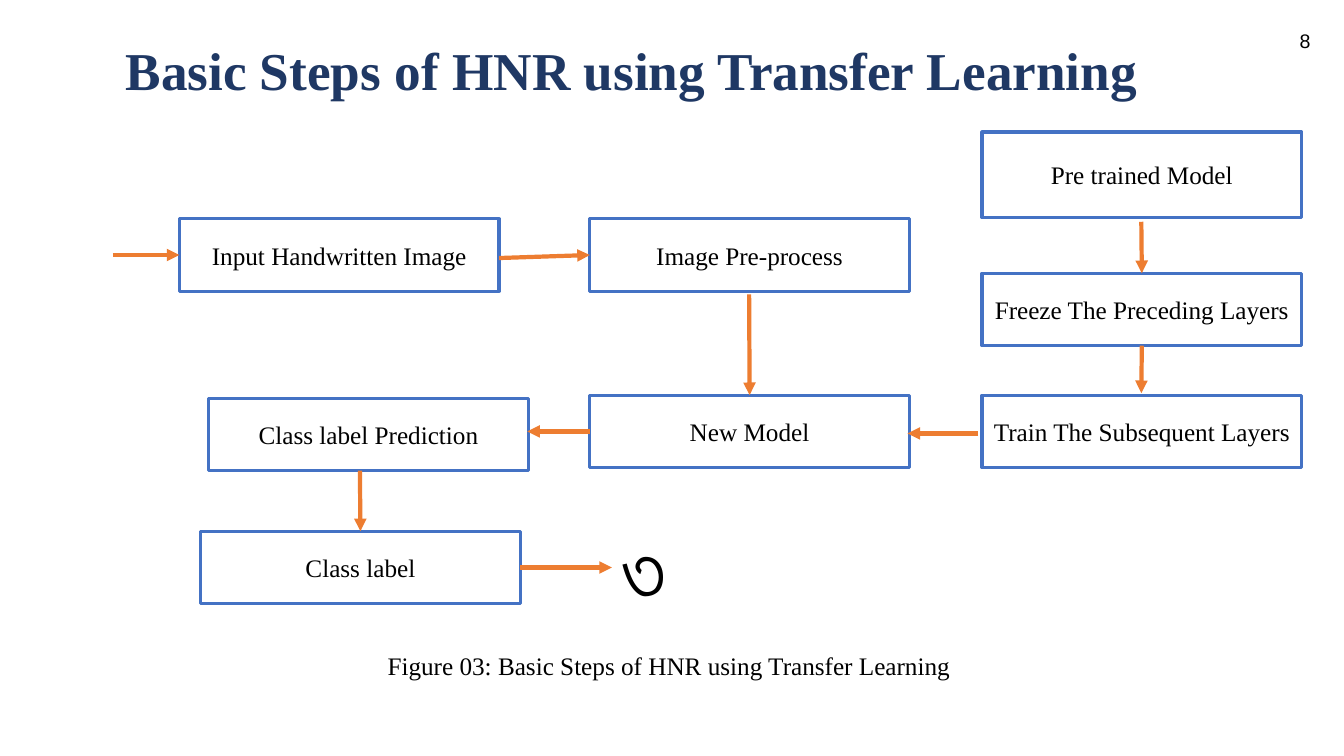
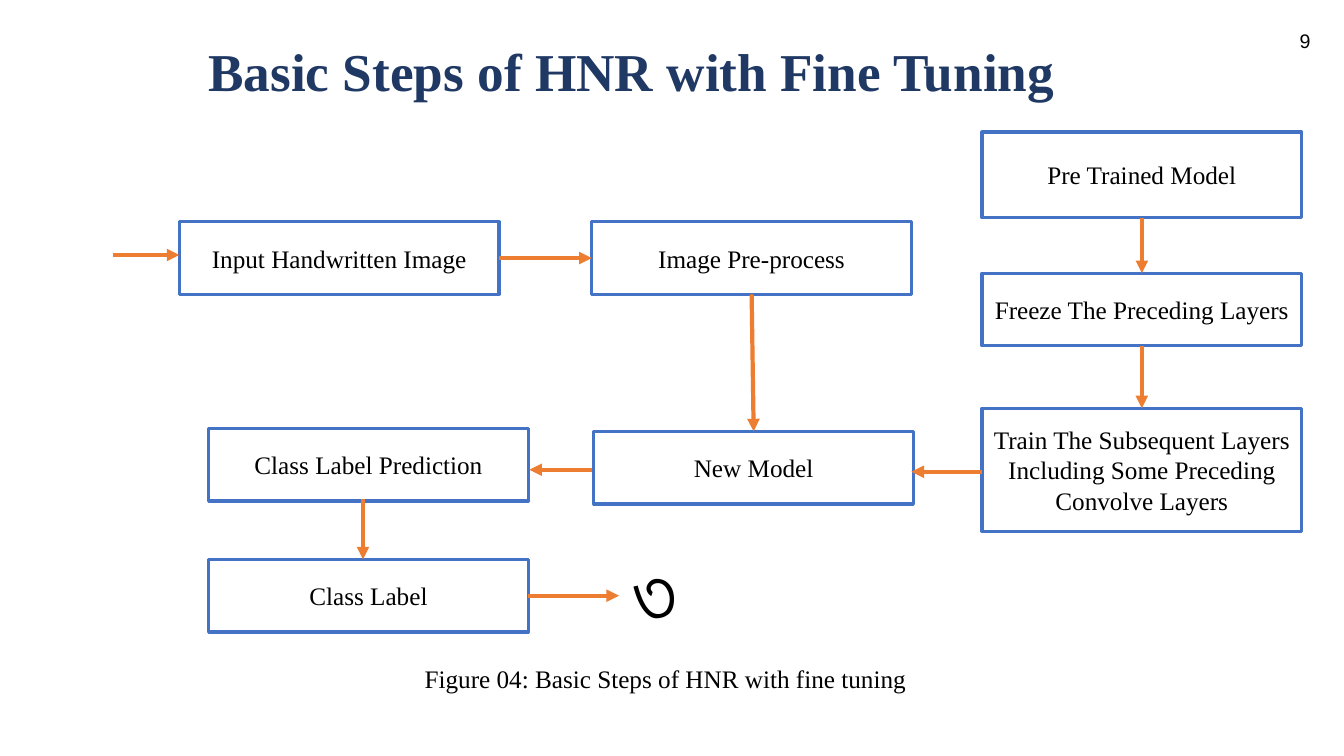
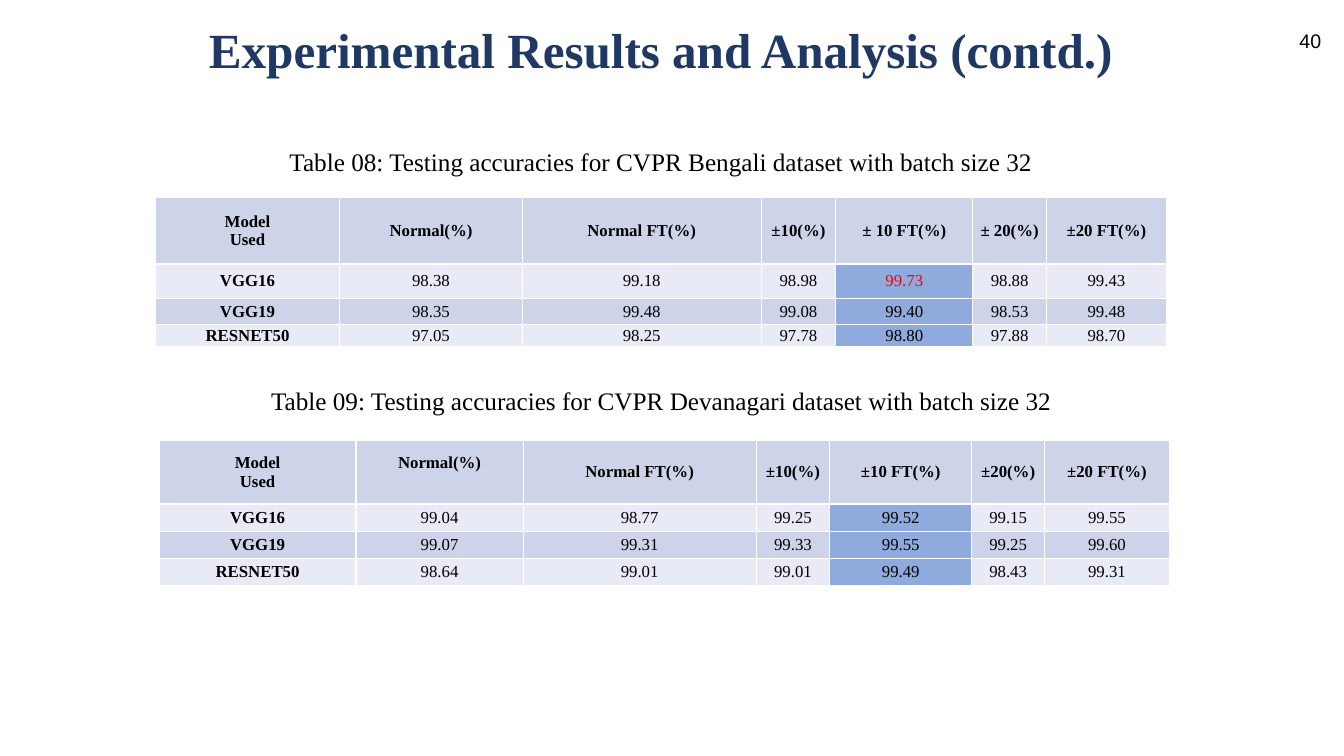
import pptx
import pptx.util
import pptx.dml.color
import pptx.enum.shapes
import pptx.enum.text
import pptx.oxml
import pptx.oxml.ns
from lxml import etree

Inches = pptx.util.Inches
Pt = pptx.util.Pt
ANCHOR = pptx.enum.text.MSO_ANCHOR
ALIGN = pptx.enum.text.PP_ALIGN

COLORS = {
    "title": "1F3864", "text": "000000", "best": "FF0000", "white": "FFFFFF",
    "outline": "4472C4", "arrow": "ED7D31",
    "dark_band": "CDD4EA", "light_band": "E8EBF5", "highlight": "8FAADC",
}
SERIF = "Times New Roman"
NODE_WIDTH, NODE_HEIGHT = 3.17, 0.72
TOP, LEFT, BOTTOM, RIGHT = range(4)
FLOW_ORIGIN = (1.12, 1.31)
HIGHLIGHT_COLUMN = 4


def color(key):
    return pptx.dml.color.RGBColor.from_string(COLORS[key])


def write(frame, text, size=18, font=SERIF, ink="text", bold=False,
          align=ALIGN.CENTER, spacing=None):
    """Set the text of a frame and format every run alike."""
    frame.text = text
    for paragraph in frame.paragraphs:
        paragraph.alignment = align
        if spacing:
            paragraph.line_spacing = spacing
        for run in paragraph.runs:
            run.font.size = Pt(size)
            run.font.name = font
            run.font.bold = bold
            run.font.color.rgb = color(ink)


def add_label(slide, box, text, **style):
    label = slide.shapes.add_textbox(*map(Inches, box))
    label.text_frame.word_wrap = True
    write(label.text_frame, text, **style)


def new_slide(prs, title, title_box, number, number_width=0.32, size=38, spacing=1.1):
    """Add a slide with the shared title style and page number."""
    slide = prs.slides.add_slide(prs.slide_layouts[5])
    heading = slide.shapes.title
    heading.left, heading.top, heading.width, heading.height = map(Inches, title_box)
    frame = heading.text_frame
    frame.auto_size = pptx.enum.text.MSO_AUTO_SIZE.NONE
    frame.word_wrap = True
    frame.vertical_anchor = ANCHOR.TOP
    frame.margin_left = frame.margin_right = frame.margin_bottom = Inches(0.1)
    frame.margin_top = Inches(0.16)
    write(frame, title, size=size, ink="title", bold=True, spacing=spacing)
    add_label(slide, (12.79, 0.24, number_width, 0.34), str(number),
              size=14, font="Arial", align=ALIGN.LEFT)
    return slide


def add_node(slide, text, left, top, height=NODE_HEIGHT):
    node = slide.shapes.add_shape(
        pptx.enum.shapes.MSO_SHAPE.RECTANGLE,
        *map(Inches, (left, top, NODE_WIDTH, height)))
    node.shadow.inherit = False
    node.fill.solid()
    node.fill.fore_color.rgb = color("white")
    node.line.color.rgb = color("outline")
    node.line.width = Pt(2.25)
    node.text_frame.word_wrap = True
    node.text_frame.vertical_anchor = ANCHOR.MIDDLE
    write(node.text_frame, text)
    return node


def add_flowchart(slide, origin, nodes, arrows, digit_at):
    """Draw nodes and arrows; an arrow end is (node name, side) or a point."""
    x0, y0 = origin
    shapes = {name: add_node(slide, text, x0 + x, y0 + y, *height)
              for name, (text, x, y, *height) in nodes.items()}
    for start, end in arrows:
        arrow = slide.shapes.add_connector(
            pptx.enum.shapes.MSO_CONNECTOR.STRAIGHT, 0, 0, 0, 0)
        if isinstance(start[0], str):
            arrow.begin_connect(shapes[start[0]], start[1])
        else:
            arrow.begin_x, arrow.begin_y = Inches(x0 + start[0]), Inches(y0 + start[1])
        if isinstance(end[0], str):
            arrow.end_connect(shapes[end[0]], end[1])
        else:
            arrow.end_x, arrow.end_y = Inches(x0 + end[0]), Inches(y0 + end[1])
        arrow.line.color.rgb = color("arrow")
        arrow.line.width = Pt(3)
        etree.SubElement(arrow.line._get_or_add_ln(),
                         pptx.oxml.ns.qn("a:tailEnd"), type="triangle")
        etree.SubElement(arrow._element.spPr, pptx.oxml.ns.qn("a:effectLst"))
    add_label(slide, (x0 + digit_at[0], y0 + digit_at[1], 0.84, 0.69), "৩",
              size=60, font="Calibri", align=ALIGN.LEFT)


def add_cell_borders(cell):
    properties = cell._tc.get_or_add_tcPr()
    for side in ("lnL", "lnR", "lnT", "lnB"):
        border = etree.SubElement(properties, pptx.oxml.ns.qn("a:" + side),
                                  w=str(Pt(1)))
        fill = etree.SubElement(border, pptx.oxml.ns.qn("a:solidFill"))
        etree.SubElement(fill, pptx.oxml.ns.qn("a:srgbClr"), val=COLORS["white"])


def add_accuracy_table(slide, origin, widths, heights, rows, best=None):
    """Draw a banded table with one highlighted column; return the table."""
    box = (*origin, sum(widths), sum(heights))
    table = slide.shapes.add_table(len(rows), len(widths), *map(Inches, box)).table
    table.first_row = table.horz_banding = False
    for column, width in zip(table.columns, widths):
        column.width = Inches(width)
    for r, (values, height) in enumerate(zip(rows, heights)):
        table.rows[r].height = Inches(height)
        for c, value in enumerate(values):
            cell = table.cell(r, c)
            cell.margin_left = cell.margin_right = Inches(0.07)
            cell.margin_top = cell.margin_bottom = 0
            cell.vertical_anchor = ANCHOR.MIDDLE
            add_cell_borders(cell)
            band = "light_band" if r % 2 else "dark_band"
            cell.fill.solid()
            cell.fill.fore_color.rgb = color(
                "highlight" if r and c == HIGHLIGHT_COLUMN else band)
            write(cell.text_frame, value, size=12, bold=r == 0 or c == 0,
                  ink="best" if (r, c) == best else "text")
    return table


def transfer_learning_slide(prs):
    slide = new_slide(prs, "Basic Steps of HNR using Transfer Learning",
                      (-0.29, 0.15, 13.11, 0.83), 8)
    nodes = {
        "preprocess": ("Image Pre-process", 4.73, 0.86),
        "pretrained": ("Pre trained Model", 8.62, 0, 0.85),
        "input": ("Input Handwritten Image", 0.66, 0.86),
        "prediction": ("Class label Prediction", 0.95, 2.64),
        "label": ("Class label", 0.87, 3.96),
        "freeze": ("Freeze The Preceding Layers", 8.62, 1.4),
        "train": ("Train The Subsequent Layers", 8.62, 2.61),
        "new": ("New Model", 4.73, 2.61),
    }
    arrows = [
        ((0, 1.22), ("input", LEFT)),
        ((3.83, 1.25), ("preprocess", LEFT)),
        ((6.31, 1.61), ("new", TOP)),
        ((10.2, 0.89), ("freeze", TOP)),
        (("freeze", BOTTOM), (10.2, 2.59)),
        ((8.58, 2.99), (7.88, 2.99)),
        (("new", LEFT), (4.11, 2.97)),
        ((2.45, 3.36), ("label", TOP)),
        (("label", RIGHT), (4.95, 4.32)),
    ]
    add_flowchart(slide, FLOW_ORIGIN, nodes, arrows, (4.95, 3.76))
    add_label(slide, (3.65, 6.37, 5.97, 0.6),
              "Figure 03: Basic Steps of HNR using Transfer Learning", spacing=1.1)


def fine_tuning_slide(prs):
    slide = new_slide(prs, "Basic Steps of HNR with Fine Tuning",
                      (-0.29, 0.16, 13.11, 0.83), 9)
    nodes = {
        "preprocess": ("Image Pre-process", 4.75, 0.89),
        "pretrained": ("Pre Trained Model", 8.62, 0, 0.85),
        "input": ("Input Handwritten Image", 0.66, 0.89),
        "prediction": ("Class Label Prediction", 0.95, 2.94),
        "label": ("Class Label", 0.95, 4.24),
        "freeze": ("Freeze The Preceding Layers", 8.62, 1.4),
        "train": ("Train The Subsequent Layers\nIncluding Some Preceding Convolve Layers",
                  8.62, 2.74, 1.22),
        "new": ("New Model", 4.77, 2.97),
    }
    arrows = [
        ((0, 1.22), (0.66, 1.22)),
        (("input", RIGHT), ("preprocess", LEFT)),
        (("preprocess", BOTTOM), ("new", TOP)),
        (("pretrained", BOTTOM), ("freeze", TOP)),
        (("freeze", BOTTOM), ("train", TOP)),
        ((8.62, 3.37), (7.92, 3.37)),
        ((4.75, 3.35), (4.13, 3.35)),
        ((2.48, 3.64), (2.48, 4.24)),
        (("label", RIGHT), (5.02, 4.6)),
    ]
    add_flowchart(slide, FLOW_ORIGIN, nodes, arrows, (5.06, 3.98))
    add_label(slide, (4.1, 6.5, 5, 0.6),
              "Figure 04: Basic Steps of HNR with fine tuning", spacing=1.1)


def results_slide(prs):
    slide = new_slide(prs, "Experimental Results and Analysis (contd.)",
                      (0, 0.19, 13.11, 0.65), 40, number_width=0.54,
                      size=35.1, spacing=0.7)
    add_label(slide, (2.68, 1.4, 7.75, 0.4),
              "Table 08: Testing accuracies for CVPR Bengali dataset with batch size 32")
    add_label(slide, (2.18, 3.77, 8.76, 0.4),
              "Table 09: Testing accuracies for CVPR Devanagari dataset with batch size 32")
    bengali = [
        ("Model\nUsed", "Normal(%)", "Normal FT(%)", "±10(%)", "± 10 FT(%)",
         "± 20(%)", "±20 FT(%)"),
        ("VGG16", "98.38", "99.18", "98.98", "99.73", "98.88", "99.43"),
        ("VGG19", "98.35", "99.48", "99.08", "99.40", "98.53", "99.48"),
        ("RESNET50", "97.05", "98.25", "97.78", "98.80", "97.88", "98.70"),
    ]
    devanagari = [
        ("Model\nUsed", "Normal(%)", "Normal FT(%)", "±10(%)", "±10 FT(%)",
         "±20(%)", "±20 FT(%)"),
        ("VGG16", "99.04", "98.77", "99.25", "99.52", "99.15", "99.55"),
        ("VGG19", "99.07", "99.31", "99.33", "99.55", "99.25", "99.60"),
        ("RESNET50", "98.64", "99.01", "99.01", "99.49", "98.43", "99.31"),
    ]
    add_accuracy_table(slide, (1.54, 1.96),
                       (1.83, 1.81, 2.37, 0.74, 1.36, 0.73, 1.19),
                       (0.66, 0.34, 0.26, 0.22), bengali, best=(1, 4))
    devanagari_table = add_accuracy_table(
        slide, (1.58, 4.37), (1.95, 1.66, 2.31, 0.73, 1.41, 0.72, 1.24),
        (0.63, 0.27, 0.27, 0.27), devanagari)
    devanagari_table.cell(0, 1).margin_bottom = Inches(0.19)


def main():
    prs = pptx.Presentation()
    prs.slide_width, prs.slide_height = Inches(13.33), Inches(7.5)
    transfer_learning_slide(prs)
    fine_tuning_slide(prs)
    results_slide(prs)
    prs.save("out.pptx")


if __name__ == "__main__":
    main()
